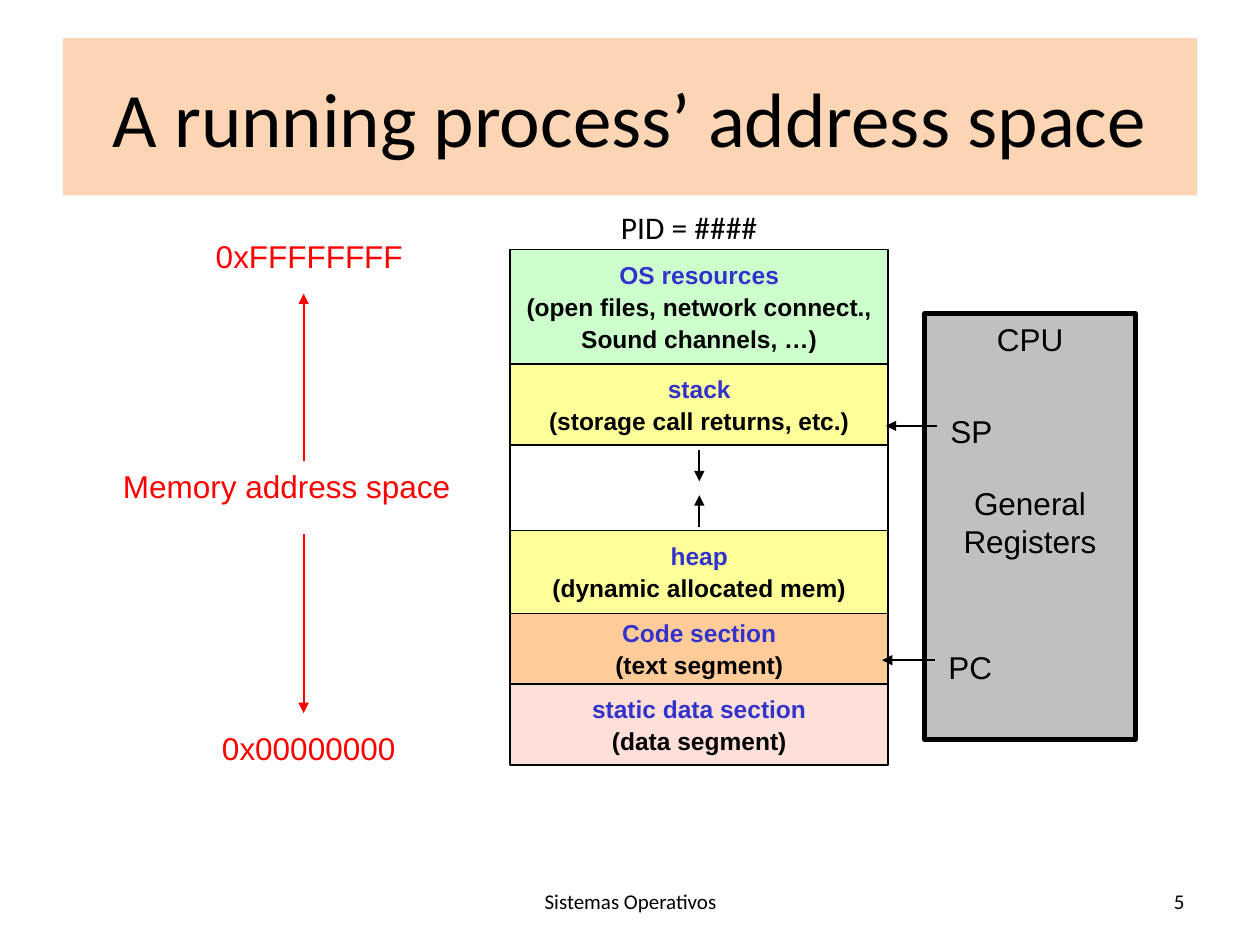
from itertools import pairwise

from lxml import etree
from pptx import Presentation
from pptx.dml.color import RGBColor
from pptx.enum import shapes, text
from pptx.oxml import ns
from pptx.util import Inches, Pt

COLORS = {
    "black": "000000", "white": "FFFFFF", "red": "FF0000", "name": "3333CC",
    "title": "FCD5B5", "green": "CCFFCC", "yellow": "FFFF99",
    "orange": "FFCC99", "pink": "FFE0D9", "gray": "C0C0C0",
}
ALIGN = text.PP_ALIGN
MIDDLE = text.MSO_ANCHOR.MIDDLE


def rgb(name):
    return RGBColor.from_string(COLORS[name])


class Sketch:
    """Holds the text style and the page being drawn."""

    def __init__(self, page, font="Arial", size=18):
        self.page, self.font, self.size = page, font, size

    def format(self, para, color="black", font=None, size=None, bold=False,
               align=ALIGN.CENTER):
        para.alignment = align
        para.font.name = font or self.font
        para.font.size = Pt(size or self.size)
        para.font.bold = bold
        para.font.color.rgb = rgb(color)

    def title(self, wording):
        box = self.page.shapes.title
        box.left, box.top, box.width, box.height = map(Inches, (0.5, 0.3, 9, 1.25))
        box.fill.solid()
        box.fill.fore_color.rgb = rgb("title")
        frame = box.text_frame
        frame.text = wording
        frame.vertical_anchor = MIDDLE
        frame.auto_size = text.MSO_AUTO_SIZE.NONE
        self.format(frame.paragraphs[0], font="Calibri", size=44)

    def label(self, wording, left, top, width, wrap=False, anchor=None, **style):
        box = self.page.shapes.add_textbox(*map(Inches, (left, top, width, 0.4)))
        frame = box.text_frame
        frame.word_wrap = wrap
        if not wrap:
            frame.auto_size = text.MSO_AUTO_SIZE.SHAPE_TO_FIT_TEXT
        frame.vertical_anchor = anchor
        frame.text = wording
        self.format(frame.paragraphs[0], **style)

    def block(self, left, top, width, height, fill, weight=1):
        box = self.page.shapes.add_shape(
            shapes.MSO_SHAPE.RECTANGLE, *map(Inches, (left, top, width, height)))
        box.shadow.inherit = False
        box.fill.solid()
        box.fill.fore_color.rgb = rgb(fill)
        box.line.color.rgb = rgb("black")
        box.line.width = Pt(weight)
        return box

    def segment(self, top, bottom, fill, lines):
        box = self.block(4.05, top, 3, bottom - top, fill)
        if not lines:
            return
        frame = box.text_frame
        frame.word_wrap = False
        frame.vertical_anchor = MIDDLE
        frame.text = "\n".join(lines)
        for index, para in enumerate(frame.paragraphs):
            self.format(para, "black" if index else "name", size=14, bold=True)
            if index:
                para.space_before = Pt(1.4)

    def arrow(self, x1, y1, x2, y2, color="black"):
        line = self.page.shapes.add_connector(
            shapes.MSO_CONNECTOR.STRAIGHT, *map(Inches, (x1, y1, x2, y2)))
        line.line.color.rgb = rgb(color)
        line.line.width = Pt(1)
        outline = line.line._get_or_add_ln()
        etree.SubElement(outline, ns.qn("a:tailEnd"), type="triangle")
        etree.SubElement(line._element.spPr, ns.qn("a:effectLst"))


def main():
    deck = Presentation()
    deck.slide_width, deck.slide_height = Inches(10), Inches(7.5)
    sketch = Sketch(deck.slides.add_slide(deck.slide_layouts[5]))

    # Title and footer
    sketch.title("A running process’ address space")
    footer = dict(wrap=True, anchor=MIDDLE, font="Calibri", size=12)
    sketch.label("Sistemas Operativos", 3.42, 6.95, 3.17, **footer)
    sketch.label("5", 7.17, 6.95, 2.33, align=ALIGN.RIGHT, **footer)

    # Address range
    sketch.label("0xFFFFFFFF", 1.61, 1.83, 1.69, color="red")
    sketch.label("Memory address space", 0.87, 3.66, 2.81, wrap=True, color="red")
    sketch.label("0x00000000", 1.66, 5.74, 1.58, color="red")
    sketch.arrow(2.41, 3.66, 2.41, 2.33, "red")
    sketch.arrow(2.41, 4.24, 2.41, 5.66, "red")

    # Memory segments, from high to low addresses
    sketch.label("PID = ####", 4.83, 1.6, 1.42, wrap=True, font="Calibri",
                 align=ALIGN.LEFT)
    edges = (1.98, 2.89, 3.53, 4.21, 4.87, 5.43, 6.07)
    segments = (
        ("green", ("OS resources", "(open files, network connect.,",
                   "Sound channels, …)")),
        ("yellow", ("stack", "(storage call returns, etc.)")),
        ("white", ()),
        ("yellow", ("heap", "(dynamic allocated mem)")),
        ("orange", ("Code section", "(text segment)")),
        ("pink", ("static data section", "(data segment)")),
    )
    for (top, bottom), (fill, lines) in zip(pairwise(edges), segments):
        sketch.segment(top, bottom, fill, lines)

    # Growth of stack and heap
    sketch.arrow(5.55, 3.57, 5.55, 3.82)
    sketch.arrow(5.55, 4.18, 5.55, 3.93)

    # CPU and its registers
    frame = sketch.block(7.34, 2.49, 1.67, 3.38, "gray", weight=3).text_frame
    frame.word_wrap = True
    frame.vertical_anchor = text.MSO_ANCHOR.TOP
    frame.text = "CPU\nGeneral Registers"
    for para in frame.paragraphs:
        sketch.format(para)
    frame.paragraphs[1].space_before = Pt(72)
    sketch.label("SP", 7.41, 3.22, 0.6)
    sketch.label("PC", 7.4, 5.09, 0.6)
    sketch.arrow(7.44, 3.38, 7.03, 3.38)
    sketch.arrow(7.42, 5.24, 7, 5.24)

    deck.save("out.pptx")


if __name__ == "__main__":
    main()
